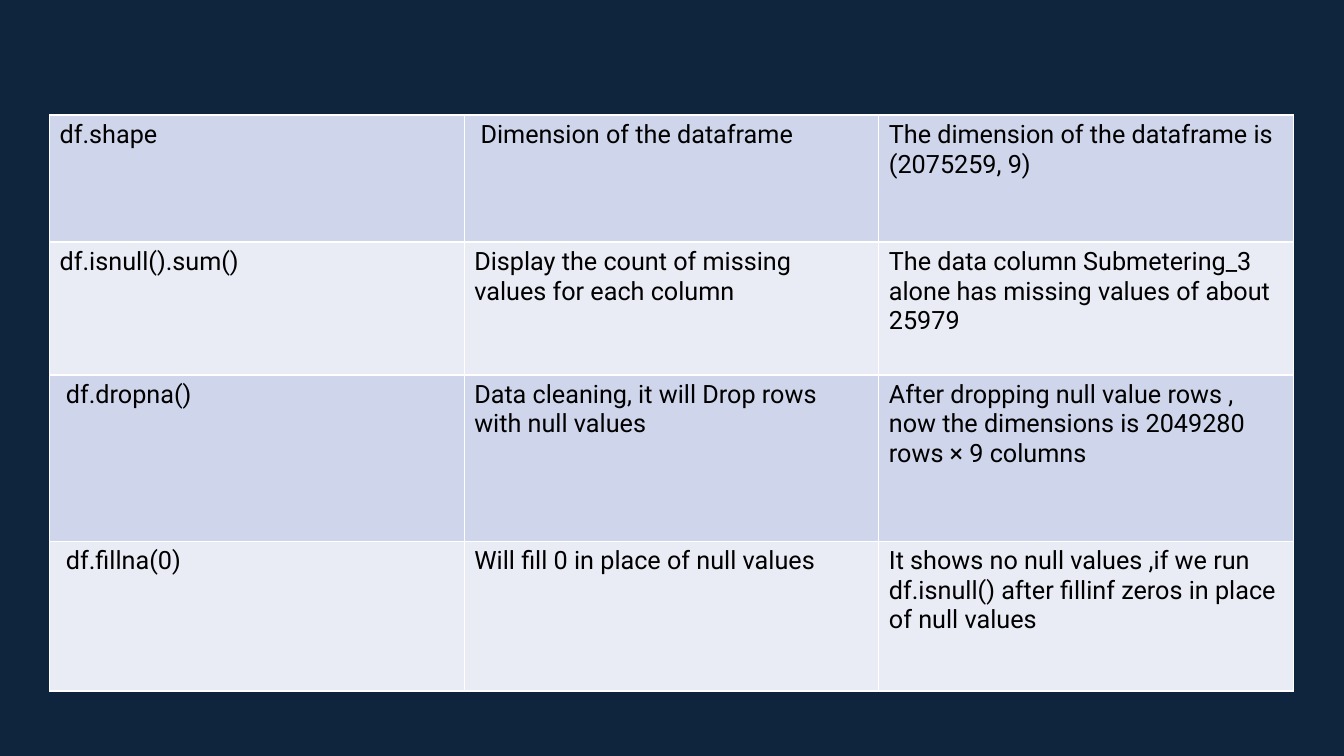
from lxml.etree import SubElement
from pptx import Presentation
from pptx.dml.color import RGBColor
from pptx.oxml.ns import qn
from pptx.util import Cm, Pt

COLORS = {
    "background": "0F253E",
    "odd row": "CFD5EA",
    "even row": "E9EBF5",
    "border": "FFFFFF",
    "text": "000000",
}
COL_WIDTH = 10.45
ROW_HEIGHTS = [3.2, 3.35, 4.19, 3.77]
ROWS = [
    ["df.shape",
     " Dimension of the dataframe",
     "The dimension of the dataframe is (2075259, 9)"],
    ["df.isnull().sum()",
     "Display the count of missing values for each column",
     "The data column Submetering_3 alone has missing values of about 25979"],
    [" df.dropna()",
     "Data cleaning, it will Drop rows with null values",
     "After dropping null value rows , now the dimensions is 2049280 rows × 9 columns"],
    [" df.fillna(0)",
     "Will fill 0 in place of null values",
     "It shows no null values ,if we run df.isnull() after fillinf zeros in place of null values"],
]


def write(tf, text, size=18, font="Roboto", color="text"):
    r = tf.paragraphs[0].add_run()
    r.text = text
    r.font.size = Pt(size)
    r.font.name = font
    r.font.color.rgb = RGBColor.from_string(COLORS[color])


def add_borders(cell, color="border", width=1):
    tc_pr = cell._tc.get_or_add_tcPr()
    for side in ("a:lnL", "a:lnR", "a:lnT", "a:lnB"):
        ln = SubElement(tc_pr, qn(side), w=str(Pt(width)))
        fill = SubElement(ln, qn("a:solidFill"))
        SubElement(fill, qn("a:srgbClr"), val=COLORS[color])


prs = Presentation()
prs.slide_width = Cm(33.87)
prs.slide_height = Cm(19.05)
s = prs.slides.add_slide(prs.slide_layouts[6])
s.background.fill.solid()
s.background.fill.fore_color.rgb = RGBColor.from_string(COLORS["background"])

table = s.shapes.add_table(
    len(ROWS), 3, Cm(1.25), Cm(2.9), Cm(3 * COL_WIDTH), Cm(sum(ROW_HEIGHTS))
).table
table.first_row = False
for column in table.columns:
    column.width = Cm(COL_WIDTH)

for i, (texts, height) in enumerate(zip(ROWS, ROW_HEIGHTS)):
    table.rows[i].height = Cm(height)
    band = "even row" if i % 2 else "odd row"
    for j, text in enumerate(texts):
        cell = table.cell(i, j)
        add_borders(cell)
        cell.fill.solid()
        cell.fill.fore_color.rgb = RGBColor.from_string(COLORS[band])
        write(cell.text_frame, text)

prs.save("out.pptx")
